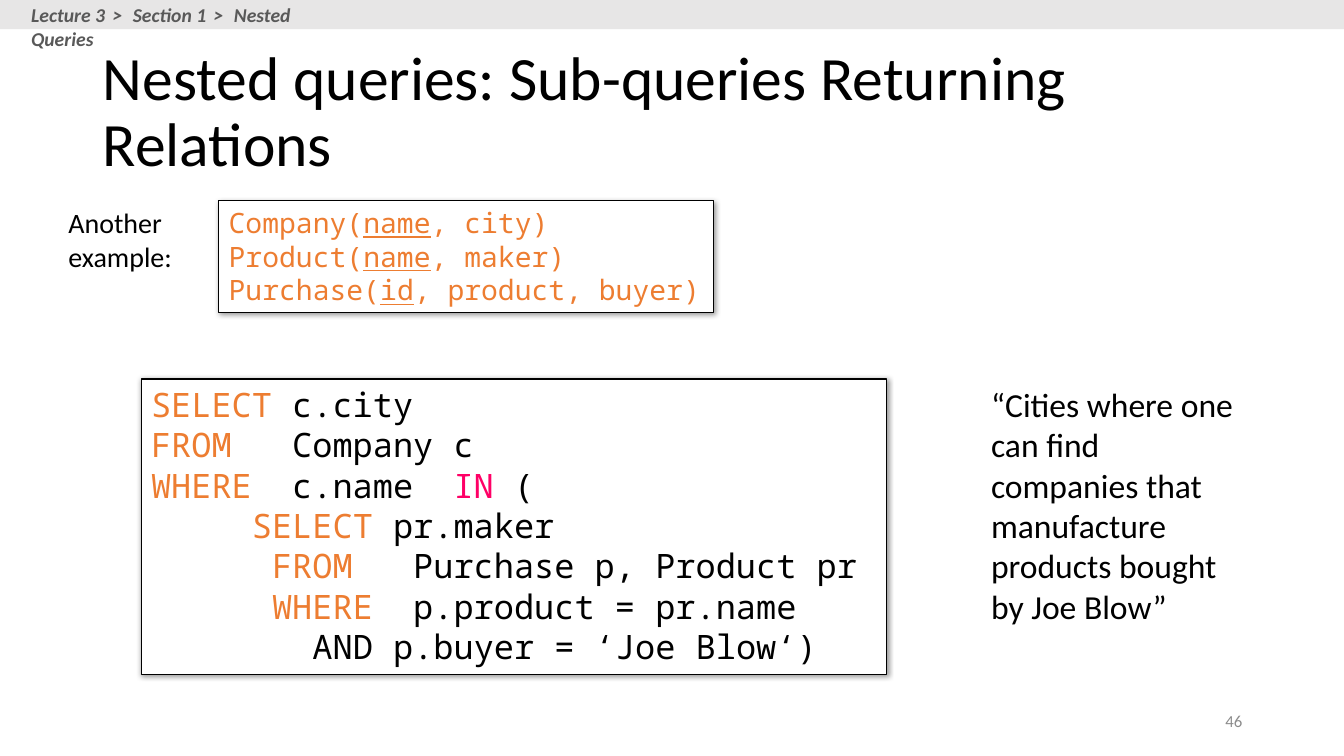
"""Build the lecture slide on sub-queries that return relations."""
from lxml.etree import SubElement
from pptx import Presentation
from pptx.dml.color import RGBColor
from pptx.enum.shapes import MSO_SHAPE
from pptx.enum.text import MSO_ANCHOR, PP_ALIGN
from pptx.oxml.ns import qn
from pptx.util import Inches, Pt

WIDE, HIGH = Inches(13.33), Inches(7.5)
SANS, MONO = "Calibri", "Noto Sans Mono"

# look: colour, underline, letter spacing in points
LOOKS = {
    "text": ("000000", False, 0),
    "word": ("ED7D31", False, 0),
    "key": ("ED7D31", True, 0),
    "in": ("FF0066", False, 0),
    "crumb": ("595959", False, 0),
    "arrow": ("595959", False, 2.1),
    "page": ("8C8C8C", False, 0),
}

TITLE = [[("Nested queries: Sub-queries Returning Relations", "text")]]
INTRO = [[("Another example:", "text")]]
GOAL = [[("“Cities where one can find companies that manufacture "
          "products bought by Joe Blow”", "text")]]
PAGE = [[("46", "page")]]
TRAIL = [[("Lecture 3", "crumb"), (" > ", "arrow"), ("Section 1", "crumb"),
          (" > ", "arrow"), ("Nested Queries", "crumb")]]
SCHEMA = [[(name + "(", "word"), (key, "key"), (rest + ")", "word")]
          for name, key, rest in (("Company", "name", ", city"),
                                  ("Product", "name", ", maker"),
                                  ("Purchase", "id", ", product, buyer"))]
QUERY = [
    [("SELECT ", "word"), ("c.city", "text")],
    [("FROM   ", "word"), ("Company c", "text")],
    [("WHERE  ", "word"), ("c.name  ", "text"), ("IN ", "in"), ("(", "text")],
    [("     SELECT ", "word"), ("pr.maker", "text")],
    [("      FROM   ", "word"), ("Purchase p, Product pr", "text")],
    [("      WHERE  ", "word"), ("p.product = pr.name", "text")],
    [("        AND p.buyer = ‘Joe Blow‘)", "text")],
]

# left, top, width, height in percent of the slide
BAR = (0, 0, 100, 3.87)
PLAIN = [
    (PAGE, (70.67, 92.67, 22.5, 5.33), 12),
    (TITLE, (6.9, 5.33, 86.27, 19.33), 44),
    (GOAL, (73, 50.13, 20.1, 34.67), 24),
    (TRAIL, (1.58, -0.27, 25.36, 4.53), 14),
    (INTRO, (4.35, 26.53, 9.45, 10.27), 20),
]
CODE = [
    (QUERY, (10.5, 50.13, 55.44, 39.07), 24),
    (SCHEMA, (16.28, 26.53, 36.83, 14.8), 20),
]


def tint(code):
    """Turn a hex string into a colour."""
    return RGBColor.from_string(code)


def place(area):
    """Turn percent of the slide into lengths."""
    return [int(part * side / 100)
            for part, side in zip(area, (WIDE, HIGH, WIDE, HIGH))]


def panel(slide, area, fill):
    """Draw a filled rectangle with no line."""
    box = slide.shapes.add_shape(MSO_SHAPE.RECTANGLE, *place(area))
    box.shadow.inherit = False
    box.fill.solid()
    box.fill.fore_color.rgb = tint(fill)
    box.line.fill.background()
    return box


def shade(box):
    """Give a box a thin black line and a soft shadow."""
    box.line.color.rgb = tint("000000")
    box.line.width = Pt(0.75)
    glow = box.element.spPr.find(qn("a:effectLst"))
    drop = SubElement(glow, qn("a:outerShdw"), blurRad=str(Pt(4)),
                      dist=str(Pt(1)), dir="2700000", algn="tl", rotWithShape="0")
    ink = SubElement(drop, qn("a:srgbClr"), val="000000")
    SubElement(ink, qn("a:alpha"), val="40000")


def write(box, lines, size, face):
    """Fill a box with lines of styled runs."""
    frame = box.text_frame
    frame.word_wrap = True
    frame.vertical_anchor = MSO_ANCHOR.TOP
    for spot, line in enumerate(lines):
        para = frame.add_paragraph() if spot else frame.paragraphs[0]
        para.alignment = PP_ALIGN.LEFT
        for text, look in line:
            hue, under, gap = LOOKS[look]
            run = para.add_run()
            run.text = text
            font = run.font
            font.name, font.size = face, Pt(size)
            font.color.rgb = tint(hue)
            if under:
                font.underline = True
            if gap:
                run.font._element.set("spc", str(round(gap * 100)))
            if lines is TRAIL:
                font.bold = font.italic = True
    if lines in (TITLE, PAGE):
        frame.vertical_anchor = MSO_ANCHOR.MIDDLE
    if lines is TITLE:
        frame.paragraphs[0].line_spacing = 0.9
    if lines is PAGE:
        frame.paragraphs[0].alignment = PP_ALIGN.RIGHT


def main():
    """Draw the slide and save it."""
    deck = Presentation()
    deck.slide_width, deck.slide_height = WIDE, HIGH
    slide = deck.slides.add_slide(deck.slide_layouts[6])
    panel(slide, BAR, "E7E6E6")
    for lines, area, size in CODE:
        box = panel(slide, area, "FFFFFF")
        shade(box)
        write(box, lines, size, MONO)
    for lines, area, size in PLAIN:
        write(slide.shapes.add_textbox(*place(area)), lines, size, SANS)
    deck.save("out.pptx")


if __name__ == "__main__":
    main()
